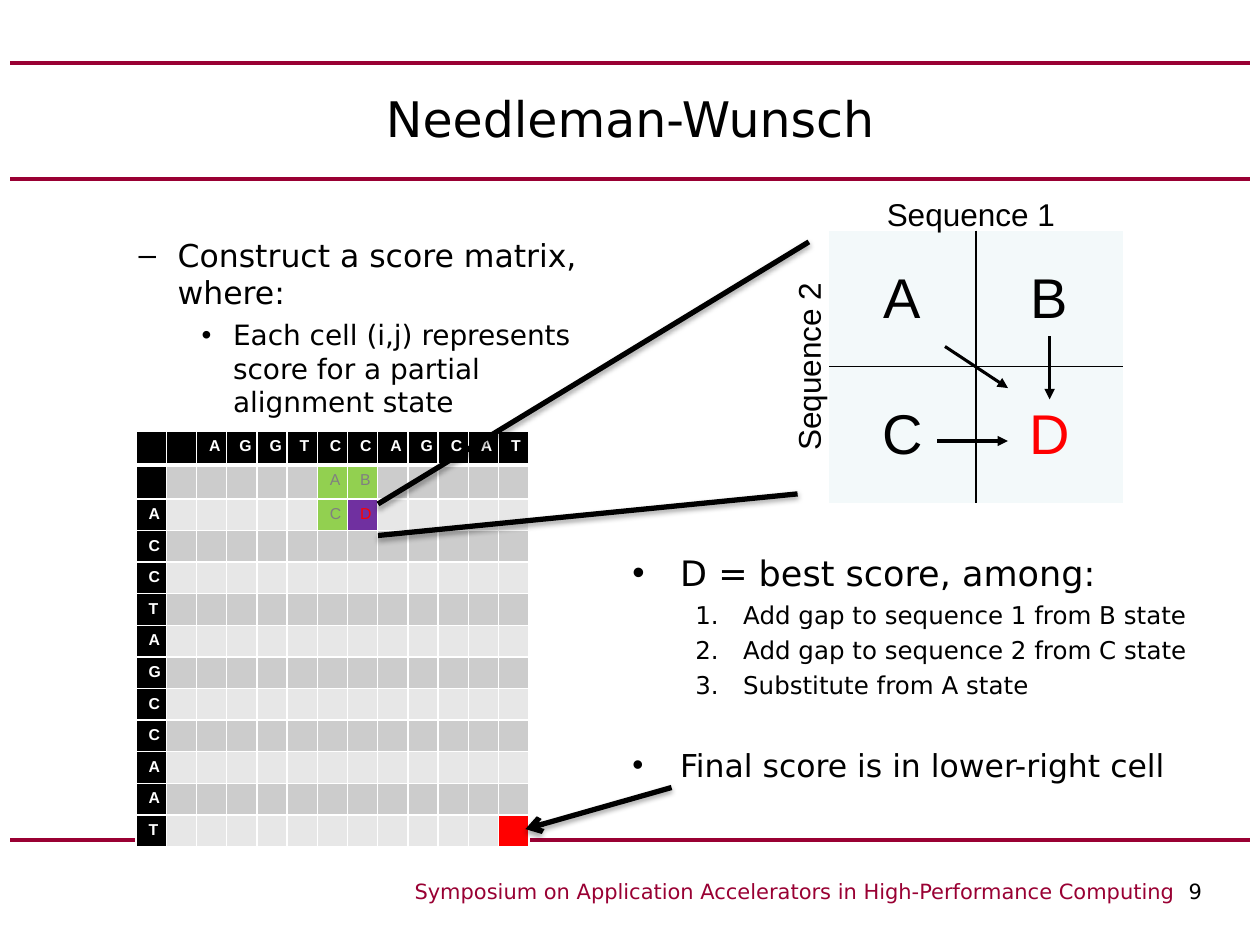
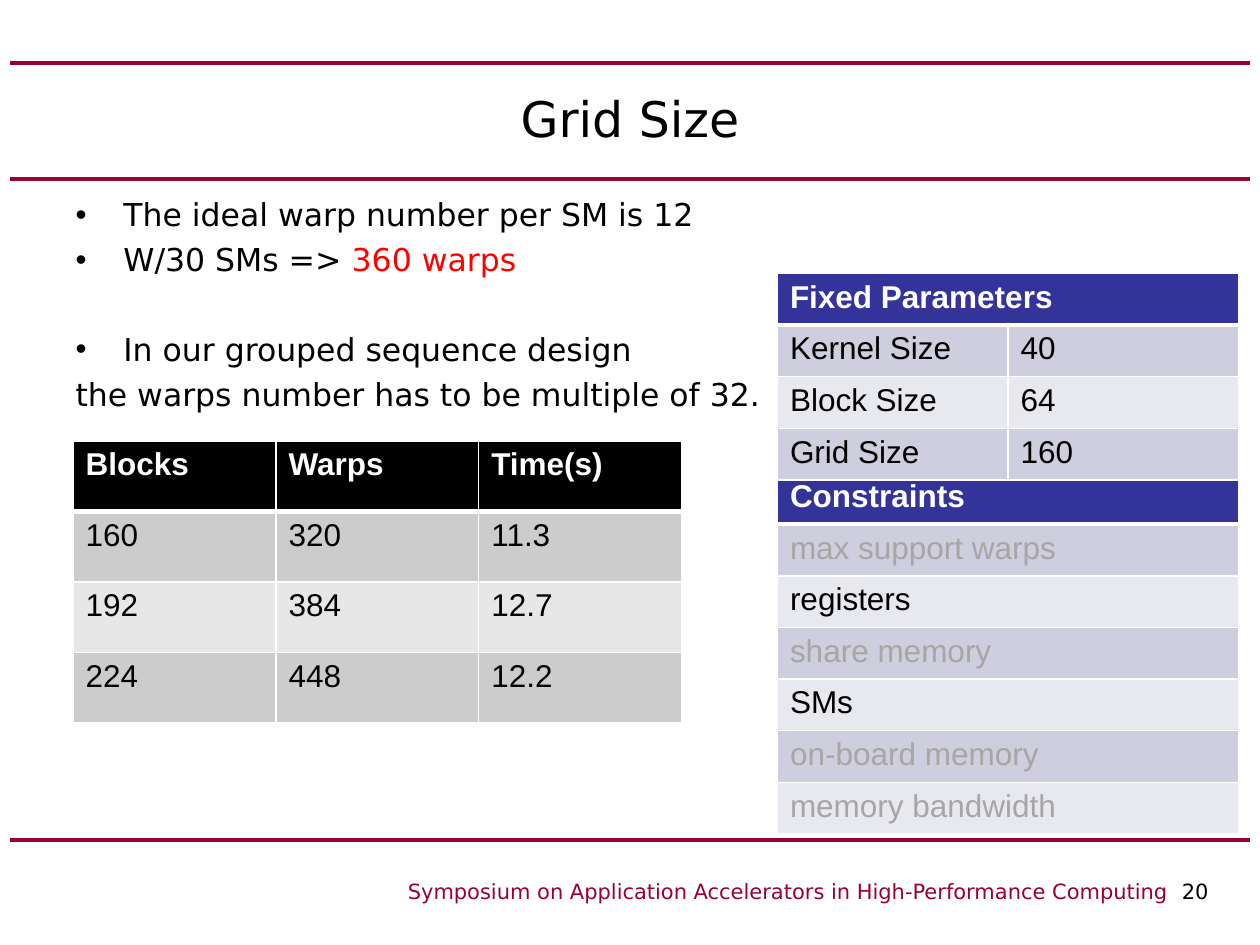
from lxml.etree import SubElement as Sub
from pptx import Presentation
from pptx.dml.color import RGBColor as RGB
from pptx.enum.shapes import MSO_CONNECTOR as Link
from pptx.enum.text import MSO_ANCHOR as Anchor, MSO_AUTO_SIZE as Fit, PP_ALIGN as Align
from pptx.oxml.ns import qn
from pptx.util import Inches, Pt

BLACK = RGB(0x00, 0x00, 0x00)
WHITE = RGB(0xFF, 0xFF, 0xFF)
MAROON = RGB(0x99, 0x00, 0x33)
RED = RGB(0xFF, 0x00, 0x00)
NAVY = RGB(0x33, 0x33, 0x99)
GRAY = RGB(0x80, 0x80, 0x80)
FADED = RGB(0xA6, 0xA6, 0xA6)
GREEN = RGB(0x92, 0xD0, 0x50)
PURPLE = RGB(0x70, 0x30, 0xA0)
PALE = RGB(0xF3, 0xF9, 0xFA)
GRAYS = (RGB(0xCC, 0xCC, 0xCC), RGB(0xE7, 0xE7, 0xE7))
BLUES = (RGB(0xCE, 0xCE, 0xDE), RGB(0xE8, 0xE8, 0xEF))

SANS = "DejaVu Sans"
ARIAL = "Arial"
EVENT = "Symposium on Application Accelerators in High-Performance Computing "


def put(para, text, size=18, color=BLACK, font=SANS, bold=False):
    if not text:
        para._p.get_or_add_endParaRPr().set("sz", str(size * 100))
        return
    run = para.add_run()
    run.text = text
    run.font.size = Pt(size)
    run.font.color.rgb = color
    run.font.name = font
    run.font.bold = bold


def place(shape, box):
    shape.left, shape.top, shape.width, shape.height = map(Inches, box)


def edge(cell, side, color, width=1):
    line = Sub(cell._tc.get_or_add_tcPr(), qn(f"a:ln{side}"), w=str(Pt(width)))
    if color is None:
        Sub(line, qn("a:noFill"))
    else:
        fill = Sub(line, qn("a:solidFill"))
        Sub(fill, qn("a:srgbClr"), val=str(color))


def bullet(para, mark, left, hang):
    props = para._p.get_or_add_pPr()
    props.set("marL", str(Inches(left)))
    props.set("indent", str(-Inches(hang)))
    if mark is None:
        Sub(props, qn("a:buNone"))
    elif mark == "1.":
        Sub(props, qn("a:buAutoNum"), type="arabicPeriod")
    else:
        Sub(props, qn("a:buFont"), typeface=ARIAL)
        Sub(props, qn("a:buChar"), char=mark)


class Deck:
    LEVELS = {0: (0.38, 0.38), 1: (0.81, 0.31), 2: (1.25, 0.25), "step": (0.88, 0.38)}

    def __init__(self):
        self.prs = Presentation()
        self.prs.slide_width = Inches(10)
        self.prs.slide_height = Inches(7.5)
        self.slide = None

    def open(self, title, number):
        self.slide = self.prs.slides.add_slide(self.prs.slide_layouts[1])
        if len(self.prs.slides) == 1:
            self.rules()
        head = self.slide.shapes.title
        place(head, (0.5, 0.5, 9, 0.87))
        frame = head.text_frame
        frame.auto_size = Fit.NONE
        frame.vertical_anchor = Anchor.MIDDLE
        para = frame.paragraphs[0]
        para.alignment = Align.CENTER
        put(para, title, size=28)
        foot = self.label((2.83, 6.92, 7.17, 0.33), EVENT, size=12, color=MAROON)
        put(foot.text_frame.paragraphs[0], f" {number}", size=12)

    def rules(self):
        tree = self.prs.slide_master.shapes._spTree
        for key, y in enumerate((0.5, 1.42, 6.67), start=90):
            rule = self.line((0.08, y), (9.92, y), 2.25, color=MAROON)._element
            rule.nvCxnSpPr.cNvPr.id = key
            tree.append(rule)

    def label(self, box, text, turn=0, **style):
        shape = self.slide.shapes.add_textbox(*map(Inches, box))
        shape.rotation = turn
        shape.text_frame.word_wrap = True
        para = shape.text_frame.paragraphs[0]
        para.alignment = Align.CENTER
        put(para, text, **style)
        return shape

    def body(self, box, items):
        shape = self.slide.placeholders[1]
        place(shape, box)
        self.items(shape.text_frame, items)

    def notes(self, box, items):
        shape = self.slide.shapes.add_textbox(*map(Inches, box))
        self.items(shape.text_frame, items)

    def items(self, frame, items):
        frame.word_wrap = True
        frame.auto_size = Fit.NONE
        for i, (level, mark, size, runs, *gap) in enumerate(items):
            para = frame.add_paragraph() if i else frame.paragraphs[0]
            para.alignment = Align.LEFT
            para.space_before = Pt(gap[0] if gap else round(size * 0.233, 1))
            bullet(para, mark, *self.LEVELS[level])
            for text, color in runs:
                put(para, text, size=size, color=color)

    def line(self, start, end, width, color=BLACK, head=None, tail=None, shade=False):
        link = self.slide.shapes.add_connector(
            Link.STRAIGHT, *map(Inches, (*start, *end)))
        link.line.color.rgb = color
        link.line.width = Pt(width)
        stroke = link.line._get_or_add_ln()
        for tag, kind in (("a:headEnd", head), ("a:tailEnd", tail)):
            if kind:
                Sub(stroke, qn(tag), type=kind)
        effect = Sub(link._element.spPr, qn("a:effectLst"))
        if shade:
            cast = Sub(effect, qn("a:outerShdw"), blurRad=str(Pt(3.1)),
                       dist=str(Pt(1.8)), dir="5400000", rotWithShape="0")
            tint = Sub(cast, qn("a:srgbClr"), val=str(BLACK))
            Sub(tint, qn("a:alpha"), val="35000")
        return link

    def table(self, spot, widths, heights, rows, bands, head=None, size=18,
              side=False, cross=False, marks=None):
        box = map(Inches, (*spot, sum(widths), sum(heights)))
        grid = self.slide.shapes.add_table(len(rows), len(widths), *box).table
        for col, width in zip(grid.columns, widths):
            col.width = Inches(width)
        for row, height in zip(grid.rows, heights):
            row.height = Inches(height)
        for r, row in enumerate(rows):
            for c, text in enumerate(row):
                cell = grid.cell(r, c)
                top = bool(head) and (r == 0 or side and c == 0)
                fill, ink = (head, WHITE) if top else (bands[(r + 1) % 2], BLACK)
                fill, ink = (marks or {}).get((r, c), (fill, ink))
                inner = ("L" if c else "R", "T" if r else "B")
                for way in "LRTB":
                    if cross:
                        edge(cell, way, BLACK if way in inner else None)
                    else:
                        thick = (r, way) in ((0, "B"), (1, "T"))
                        edge(cell, way, WHITE, 3 if thick else 1)
                cell.fill.solid()
                cell.fill.fore_color.rgb = fill
                para = cell.text_frame.paragraphs[0]
                if cross:
                    cell.vertical_anchor = Anchor.MIDDLE
                    para.alignment = Align.CENTER
                put(para, text, size=size, color=ink, font=ARIAL, bold=top)
        return grid


def wunsch(deck):
    deck.open("Needleman-Wunsch", 9)
    deck.body((0.5, 1.82, 4.5, 4.76), [
        (1, "–", 18, [("Construct a score matrix, where:", BLACK)]),
        (2, "•", 16, [("Each cell (i,j) represents score for a partial alignment state", BLACK)]),
    ])
    deck.table((6.58, 1.83), [1.165] * 2, [1.08] * 2, ["AB", "CD"], (PALE, PALE),
               size=32, cross=True, marks={(1, 1): (PALE, RED)})
    for start, end in (((8.33, 2.67), (8.33, 3.17)),
                       ((7.44, 3.5), (8, 3.5)),
                       ((7.5, 2.75), (8, 3.08))):
        deck.line(start, end, 1.75, tail="triangle")
    steps = ("Add gap to sequence 1 from B state",
             "Add gap to sequence 2 from C state",
             "Substitute from A state")
    deck.notes((4.92, 4.33, 4.73, 2.08), [
        (0, "•", 20, [("D = best score, among:", BLACK)]),
        *(("step", "1.", 14, [(step, BLACK)]) for step in steps),
        (0, "•", 18, [("Final score is in lower-right cell", BLACK)], 26.5),
    ])
    deck.label((6.83, 1.5, 1.75, 0.4), "Sequence 1", font=ARIAL)
    deck.label((5.54, 2.71, 1.75, 0.4), "Sequence 2", turn=270, font=ARIAL)

    across, down = "AGGTCCAGCAT", "ACCTAGCCAAT"
    rows = [["", "", *across], [""] * 13]
    rows += [[base] + [""] * 12 for base in down]
    rows[1][6:8] = "AB"
    rows[2][6:8] = "CD"
    marks = dict.fromkeys([(1, 6), (1, 7), (2, 6)], (GREEN, GRAY))
    marks[2, 7] = (PURPLE, RED)
    marks[12, 12] = (RED, BLACK)
    deck.table((1.08, 3.42), [0.24] * 13, [0.27] * 2 + [0.25] * 11, rows, GRAYS,
               head=BLACK, size=9, side=True, marks=marks)
    deck.line((3, 4), (6.42, 1.92), 3, shade=True)
    deck.line((3, 4.25), (6.33, 3.92), 3, shade=True)
    deck.line((4.17, 6.58), (5.33, 6.25), 3, head="arrow", shade=True)


def sizing(deck):
    deck.open("Grid Size", 20)
    deck.body((0.5, 1.5, 9, 5.08), [
        (0, "•", 18, [("The ideal warp number per SM is 12", BLACK)]),
        (0, "•", 18, [("W/30 SMs => ", BLACK), ("360 warps", RED)]),
        (0, "•", 18, [("In our grouped sequence design", BLACK)], 29.5),
        (0, None, 18, [("the warps number has to be multiple of 32.", BLACK)]),
    ])
    times = [("Blocks", "Warps", "Time(s)"), ("160", "320", "11.3"),
             ("192", "384", "12.7"), ("224", "448", "12.2")]
    deck.table((0.58, 3.5), [1.61] * 3, [0.56] * 4, times, GRAYS, head=BLACK)
    limits = ["Constraints", "max support warps", "registers", "share memory",
              "SMs", "on-board memory", "memory bandwidth"]
    marks = {(r, 0): (BLUES[(r + 1) % 2], FADED) for r in (1, 3, 5, 6)}
    deck.table((6.17, 3.75), [3.66], [0.41] * 7, [[limit] for limit in limits],
               BLUES, head=NAVY, marks=marks)
    fixed = [("Fixed Parameters", ""), ("Kernel Size", "40"),
             ("Block Size", "64"), ("Grid Size", "160")]
    grid = deck.table((6.17, 2.17), [1.83] * 2, [0.41] * 4, fixed, BLUES, head=NAVY)
    grid.cell(0, 0).merge(grid.cell(0, 1))


def main():
    deck = Deck()
    wunsch(deck)
    sizing(deck)
    deck.prs.save("out.pptx")


if __name__ == "__main__":
    main()
